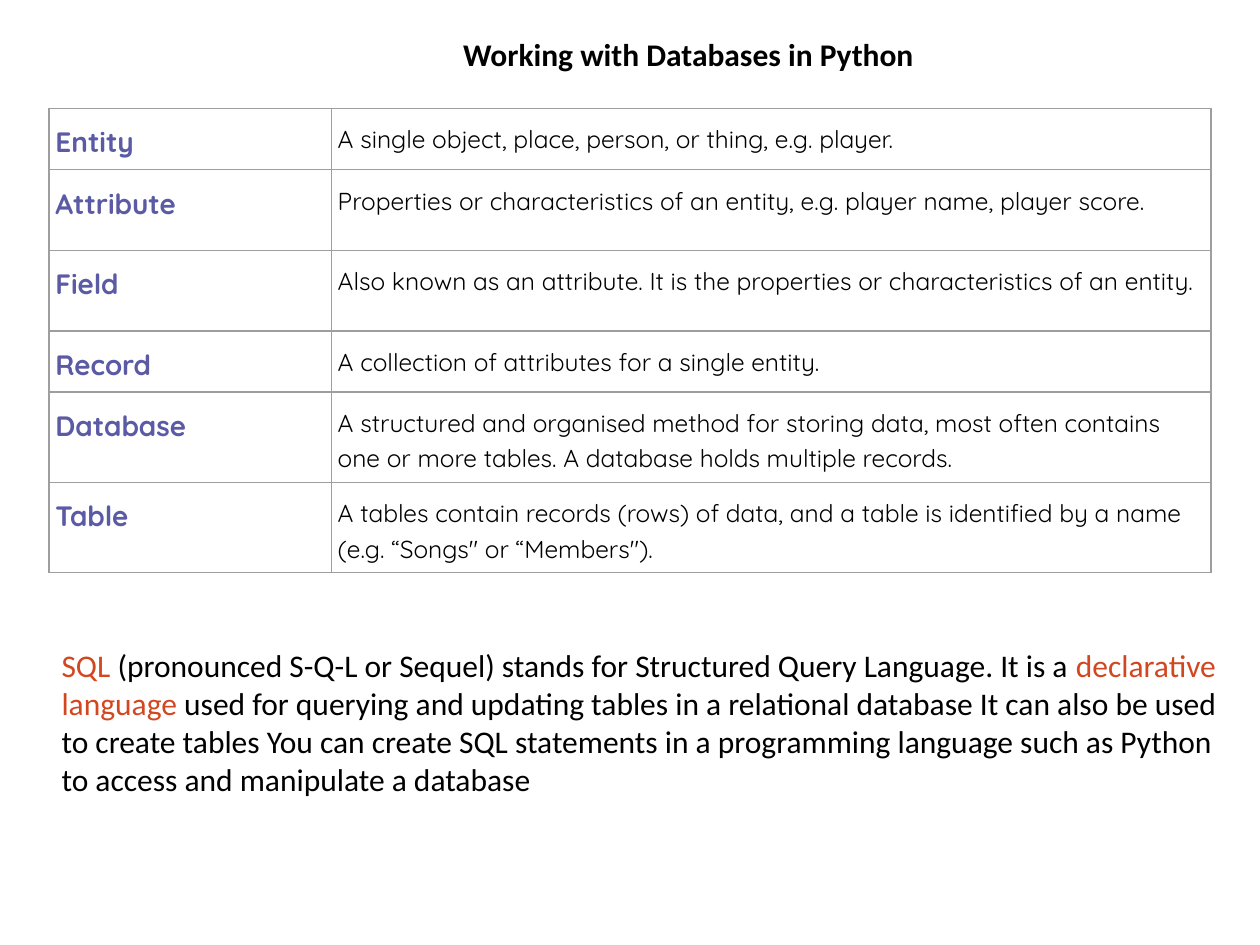
import lxml.etree
import pptx
import pptx.dml.color
import pptx.enum.text
import pptx.oxml.ns
import pptx.util

COLOURS = {"term": "5B5BA5", "text": "000000", "accent": "D24620", "border": "9E9E9E"}
WIDTH, HEIGHT = pptx.util.Inches(10), pptx.util.Inches(7.5)
TERM_SHARE = 0.243
ROW_UNITS = [0.44, 0.64, 0.64, 0.44, 0.64, 0.64]
DEFINITIONS = [
    ("Entity", "A single object, place, person, or thing, e.g. player."),
    ("Attribute", "Properties or characteristics of an entity, e.g. player name, player score."),
    ("Field", "Also known as an attribute. It is the properties or characteristics of an entity."),
    ("Record", "A collection of attributes for a single entity."),
    ("Database", "A structured and organised method for storing data, most often contains "
                 "one or more tables. A database holds multiple records."),
    ("Table", "A tables contain records (rows) of data, and a table is identified by a name "
              "(e.g. “Songs\" or “Members\")."),
]
SUMMARY = [
    ("SQL ", "accent"),
    ("(pronounced S-Q-L or Sequel) stands for Structured Query Language. It is a ", "text"),
    ("declarative language ", "accent"),
    ("used for querying and updating tables in a relational database It can also be used "
     "to create tables You can create SQL statements in a programming language such as "
     "Python to access and manipulate a database", "text"),
]


def share_box(left, top, width, height):
    return (round(left * WIDTH), round(top * HEIGHT),
            round(width * WIDTH), round(height * HEIGHT))


def format_span(span, font, size, colour, bold=False):
    span.font.name = font
    span.font.size = pptx.util.Pt(size)
    span.font.bold = bold
    span.font.color.rgb = pptx.dml.color.RGBColor.from_string(COLOURS[colour])


def draw_borders(cell):
    properties = cell._tc.get_or_add_tcPr()
    for index, side in enumerate(("lnL", "lnR", "lnT", "lnB")):
        line = lxml.etree.Element(pptx.oxml.ns.qn(f"a:{side}"), w=str(pptx.util.Pt(1)))
        fill = lxml.etree.SubElement(line, pptx.oxml.ns.qn("a:solidFill"))
        lxml.etree.SubElement(fill, pptx.oxml.ns.qn("a:srgbClr"), val=COLOURS["border"])
        properties.insert(index, line)


def fill_cell(cell, text, size, colour, bold):
    cell.margin_left = cell.margin_right = pptx.util.Inches(0.05)
    cell.margin_top = cell.margin_bottom = pptx.util.Inches(0.09)
    cell.fill.background()
    draw_borders(cell)
    cell.text_frame.text = text
    para = cell.text_frame.paragraphs[0]
    para.line_spacing = 1.15
    format_span(para.runs[0], "Quicksand", size, colour, bold)


def place_title(page, box):
    title = page.shapes.title
    title.left, title.top, title.width, title.height = box
    frame = title.text_frame
    frame.text = "Working with Databases in Python"
    frame.word_wrap = True
    frame.auto_size = pptx.enum.text.MSO_AUTO_SIZE.SHAPE_TO_FIT_TEXT
    frame.vertical_anchor = pptx.enum.text.MSO_ANCHOR.TOP
    para = frame.paragraphs[0]
    para.alignment = pptx.enum.text.PP_ALIGN.CENTER
    format_span(para.runs[0], "Calibri", 18, "text", True)


def place_definitions(page, box):
    left, top, width, height = box
    table = page.shapes.add_table(len(DEFINITIONS), 2, left, top, width, height).table
    table.first_row = table.horz_banding = False
    table.columns[0].width = round(width * TERM_SHARE)
    table.columns[1].width = width - table.columns[0].width
    for row, units, (term, meaning) in zip(table.rows, ROW_UNITS, DEFINITIONS):
        row.height = round(height * units / sum(ROW_UNITS))
        fill_cell(row.cells[0], term, 16, "term", True)
        fill_cell(row.cells[1], meaning, 14, "text", False)


def place_summary(page, box):
    frame = page.shapes.add_textbox(*box).text_frame
    frame.word_wrap = True
    frame.auto_size = pptx.enum.text.MSO_AUTO_SIZE.SHAPE_TO_FIT_TEXT
    para = frame.paragraphs[0]
    for text, colour in SUMMARY:
        span = para.add_run()
        span.text = text
        format_span(span, "Calibri", 18, colour)


def main():
    deck = pptx.Presentation()
    deck.slide_width, deck.slide_height = WIDTH, HEIGHT
    page = deck.slides.add_slide(deck.slide_layouts[5])
    place_definitions(page, share_box(0.039, 0.1147, 0.922, 0.4587))
    place_title(page, share_box(0.32, 0.0307, 0.453, 0.0533))
    place_summary(page, share_box(0.039, 0.6773, 0.945, 0.1747))
    deck.save("out.pptx")


if __name__ == "__main__":
    main()
